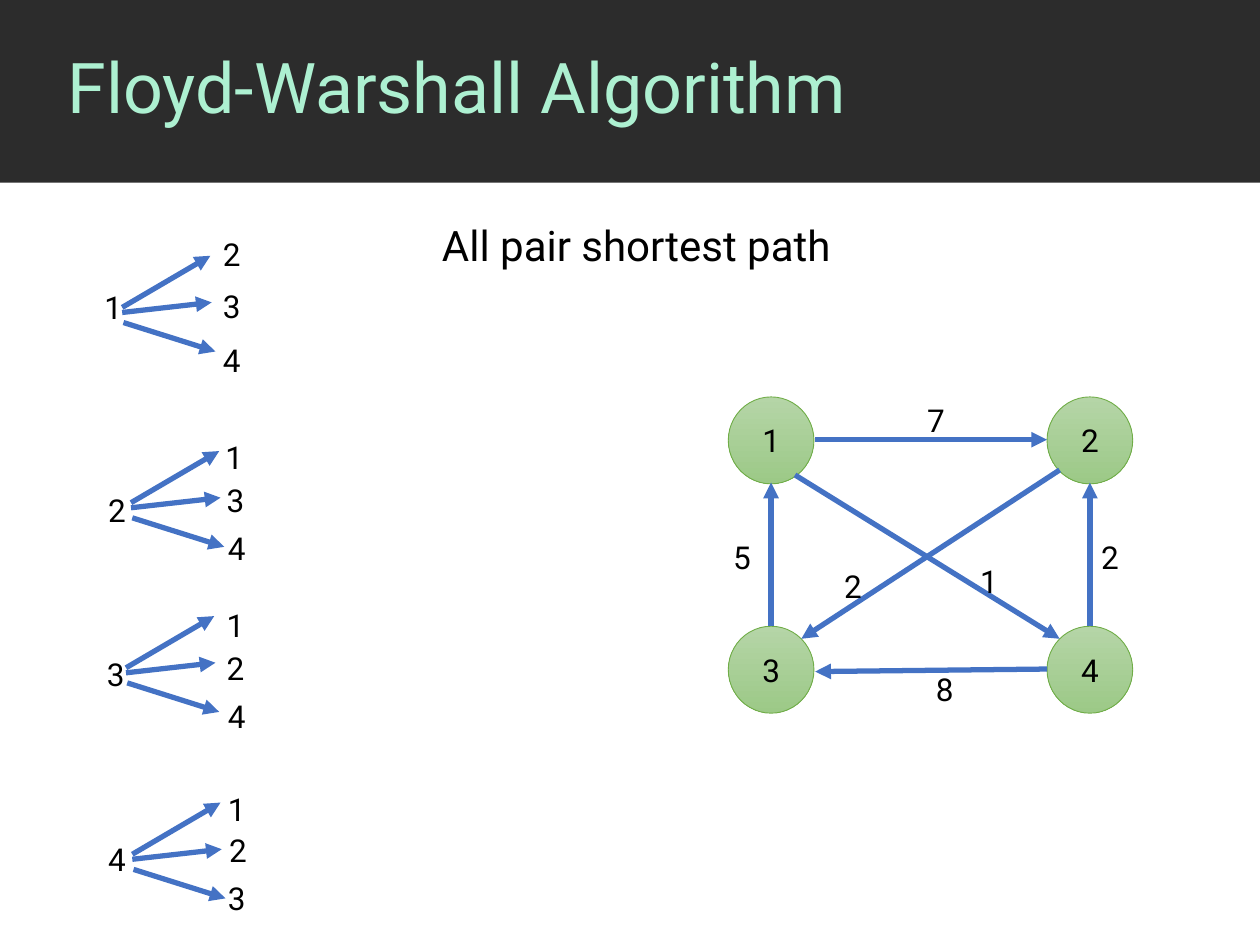
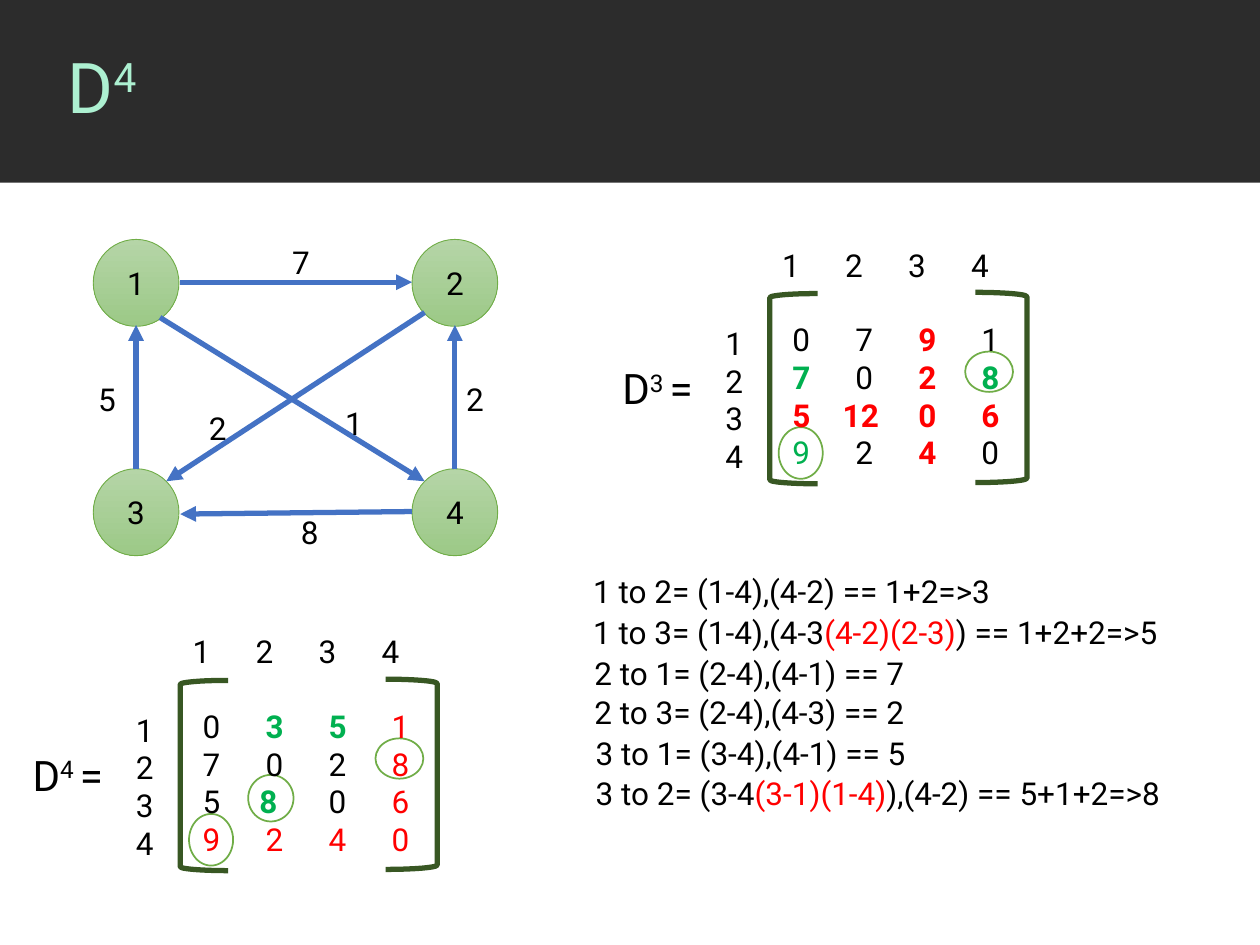
from pptx import Presentation
from pptx.dml.color import RGBColor
from pptx.enum.shapes import MSO_CONNECTOR, MSO_SHAPE
from pptx.enum.text import MSO_ANCHOR, PP_ALIGN
from pptx.oxml.ns import qn
from pptx.util import Pt
from lxml.etree import SubElement

PX = 9144
FONT = "Roboto"
BLACK = RGBColor(0x00, 0x00, 0x00)
WHITE = RGBColor(0xFF, 0xFF, 0xFF)
BAND = RGBColor(0x2C, 0x2C, 0x2C)
MINT = RGBColor(0xAD, 0xF0, 0xD1)
BLUE = RGBColor(0x44, 0x72, 0xC4)
NODE_TOP = RGBColor(0xB5, 0xD5, 0xA7)
NODE_BOTTOM = RGBColor(0x9C, 0xC9, 0x87)
NODE_LINE = RGBColor(0x70, 0xAD, 0x47)
BRACKET = RGBColor(0x38, 0x57, 0x23)
RED = RGBColor(0xFF, 0x00, 0x00)
GREEN = RGBColor(0x00, 0xB0, 0x50)

STYLES = {
    "k": (BLACK, False),
    "r": (RED, False),
    "R": (RED, True),
    "g": (GREEN, False),
    "G": (GREEN, True),
}


def add_text(s, box, paragraphs, size=18, tabs=None):
    tf = s.shapes.add_textbox(*[v * PX for v in box]).text_frame
    tf.word_wrap = True
    for i, runs in enumerate(paragraphs):
        p = tf.paragraphs[0] if i == 0 else tf.add_paragraph()
        if tabs:
            tab_list = SubElement(p._p.get_or_add_pPr(), qn("a:tabLst"))
            for pos in tabs[i]:
                SubElement(tab_list, qn("a:tab"), pos=str(pos * PX), algn="l")
        for text, (color, bold) in runs:
            r = p.add_run()
            r.text = text
            r.font.name = FONT
            r.font.size = Pt(size)
            r.font.bold = bold
            r.font.color.rgb = color
    return tf


def add_arrow(s, x1, y1, x2, y2):
    ends = [v * PX for v in (x1, y1, x2, y2)]
    c = s.shapes.add_connector(MSO_CONNECTOR.STRAIGHT, *ends)
    c.line.color.rgb = BLUE
    c.line.width = Pt(3)
    SubElement(c.line._get_or_add_ln(), qn("a:tailEnd"), type="triangle")
    SubElement(c._element.spPr, qn("a:effectLst"))


prs = Presentation()
prs.slide_width = 1000 * PX
prs.slide_height = 750 * PX

plain = STYLES["k"]
nodes = [("1", 0, 0), ("2", 253, 0), ("3", 0, 182), ("4", 253, 182)]
edges = [
    (53, 62, 263, 192),
    (263, 58, 58, 192),
    (69, 34, 253, 34),
    (253, 216, 69, 218),
    (34, 182, 34, 68),
    (287, 182, 287, 68),
]
weights = [("5", -6, 107), ("2", 286, 107), ("2", 82, 130),
           ("8", 155, 212), ("1", 190, 126), ("7", 148, -2)]
slides = [
    (["Floyd-Warshall Algorithm"], 578, 315),
    (["D", "4"], 74, 190),
]
for title, left, top in slides:
    s = prs.slides.add_slide(prs.slide_layouts[6])
    sp = s.shapes.add_shape(MSO_SHAPE.RECTANGLE, 0, 0, prs.slide_width, 145 * PX)
    sp.shadow.inherit = False
    sp.fill.solid()
    sp.fill.fore_color.rgb = BAND
    sp.line.fill.background()

    runs = [(text, (MINT, False)) for text in title]
    tf = add_text(s, (44, 0, 956, 144), [runs], 40)
    tf.vertical_anchor = MSO_ANCHOR.MIDDLE
    p = tf.paragraphs[0]
    p.line_spacing = 0.9
    for r in p.runs[1:]:
        r._r.get_or_add_rPr().set("baseline", "30000")

    for name, x, y in nodes:
        sp = s.shapes.add_shape(MSO_SHAPE.OVAL, (left + x) * PX, (top + y) * PX, 68 * PX, 69 * PX)
        sp.shadow.inherit = False
        sp.fill.gradient()
        sp.fill.gradient_angle = 270
        for stop, color in zip(sp.fill.gradient_stops, (NODE_TOP, NODE_BOTTOM)):
            stop.color.rgb = color
        sp.line.color.rgb = NODE_LINE
        sp.line.width = Pt(0.5)
        tf = sp.text_frame
        tf.text = name
        tf.vertical_anchor = MSO_ANCHOR.MIDDLE
        p = tf.paragraphs[0]
        p.alignment = PP_ALIGN.CENTER
        r = p.runs[0]
        r.font.name = FONT
        r.font.size = Pt(18)
        r.font.color.rgb = BLACK
    for x1, y1, x2, y2 in edges:
        add_arrow(s, left + x1, top + y1, left + x2, top + y2)
    for weight, x, y in weights:
        add_text(s, (left + x, top + y, 35, 40), [[(weight, plain)]])

s = prs.slides[0]
add_text(s, (341, 169, 337, 50), [[("All pair shortest path", plain)]], 24)
fans = [
    ("1", 73, 224, 97, 244, [("2", 167, 182), ("3", 167, 223), ("4", 167, 266)]),
    ("2", 76, 385, 104, 399, [("1", 169, 343), ("3", 170, 377), ("4", 171, 415)]),
    ("3", 75, 515, 100, 530, [("1", 170, 476), ("2", 170, 510), ("4", 171, 548)]),
    ("4", 76, 662, 105, 678, [("1", 171, 622), ("2", 172, 655), ("3", 171, 693)]),
]
rays = [(0, 0, 70, -41), (0, 4, 71, -4), (1, 12, 74, 35)]
for root, root_x, root_y, x, y, leaves in fans:
    for name, label_x, label_y in [(root, root_x, root_y)] + leaves:
        add_text(s, (label_x, label_y, 34, 40), [[(name, plain)]])
    for x1, y1, x2, y2 in rays:
        add_arrow(s, x + x1, y + y1, x + x2, y + y2)

s = prs.slides[1]
rings = [(7, 106, 35, 41), (155, 46, 38, 32), (54, 75, 36, 37)]
brackets = [(MSO_SHAPE.LEFT_BRACKET, 0, 0, 38), (MSO_SHAPE.RIGHT_BRACKET, 163, -1, 41)]
matrices = [
    ("3", 611, 233, rings[:2], 40,
     [("0 7 9 1", "kkRk"), ("7 0 2 8", "GkRG"), ("5 12 0 6", "RRRR"), ("9 2 4 0", "gkRk")]),
    ("4", 143, 540, rings, 45,
     [("0 3 5 1", "kGGr"), ("7 0 2 8", "kkkr"), ("5 8 0 6", "kGkr"), ("9 2 4 0", "rrrr")]),
]
for power, left, top, marks, shifted_tab, rows in matrices:
    for x, y, w, h in marks:
        sp = s.shapes.add_shape(MSO_SHAPE.OVAL, (left + x) * PX, (top + y) * PX, w * PX, h * PX)
        sp.shadow.inherit = False
        sp.fill.solid()
        sp.fill.fore_color.rgb = WHITE
        sp.line.color.rgb = NODE_LINE
        sp.line.width = Pt(1)
    for kind, x, y, w in brackets:
        sp = s.shapes.add_shape(kind, (left + x) * PX, (top + y) * PX, w * PX, 151 * PX)
        sp.shadow.inherit = False
        sp.fill.background()
        sp.line.color.rgb = BRACKET
        sp.line.width = Pt(3)

    cells = []
    for values, codes in rows:
        texts = "\t".join(values.split()).replace("\t", " \t").split(" ")
        cells.append([(text, STYLES[code]) for text, code in zip(texts, codes)])
    tabs = [(50, 100, 150)] * 4
    tabs[2] = (shifted_tab, 100, 150)
    add_text(s, (left + 8, top + 16, 210, 131), cells, tabs=tabs)
    add_text(s, (left, top - 43, 208, 40), [[("1\t2\t3\t4", plain)]], tabs=tabs[:1])
    add_text(s, (left - 45, top + 19, 43, 131), [[(n, plain)] for n in "1234"])
    name = [("D", plain), (power + " ", plain), ("=", plain)]
    tf = add_text(s, (left - 127, top + 50, 92, 50), [name], 24)
    tf.paragraphs[0].runs[1]._r.get_or_add_rPr().set("baseline", "30000")

red = STYLES["r"]
steps = [
    (461, 449, [("1 to 2= (1-4),(4-2) == 1+2=>3", plain)]),
    (461, 482, [("1 to 3= (1-4),(4-3", plain), ("(4-2)(2-3)", red), (") == 1+2+2=>5", plain)]),
    (462, 514, [("2 to 1= (2-4),(4-1) == 7", plain)]),
    (462, 545, [("2 to 3= (2-4),(4-3) == 2", plain)]),
    (463, 578, [("3 to 1= (3-4),(4-1) == 5", plain)]),
    (463, 609, [("3 to 2= (3-4", plain), ("(3-1)(1-4)", red), ("),(4-2) == 5+1+2=>8", plain)]),
]
for x, y, runs in steps:
    add_text(s, (x, y, 504, 40), [runs])

prs.save("out.pptx")
